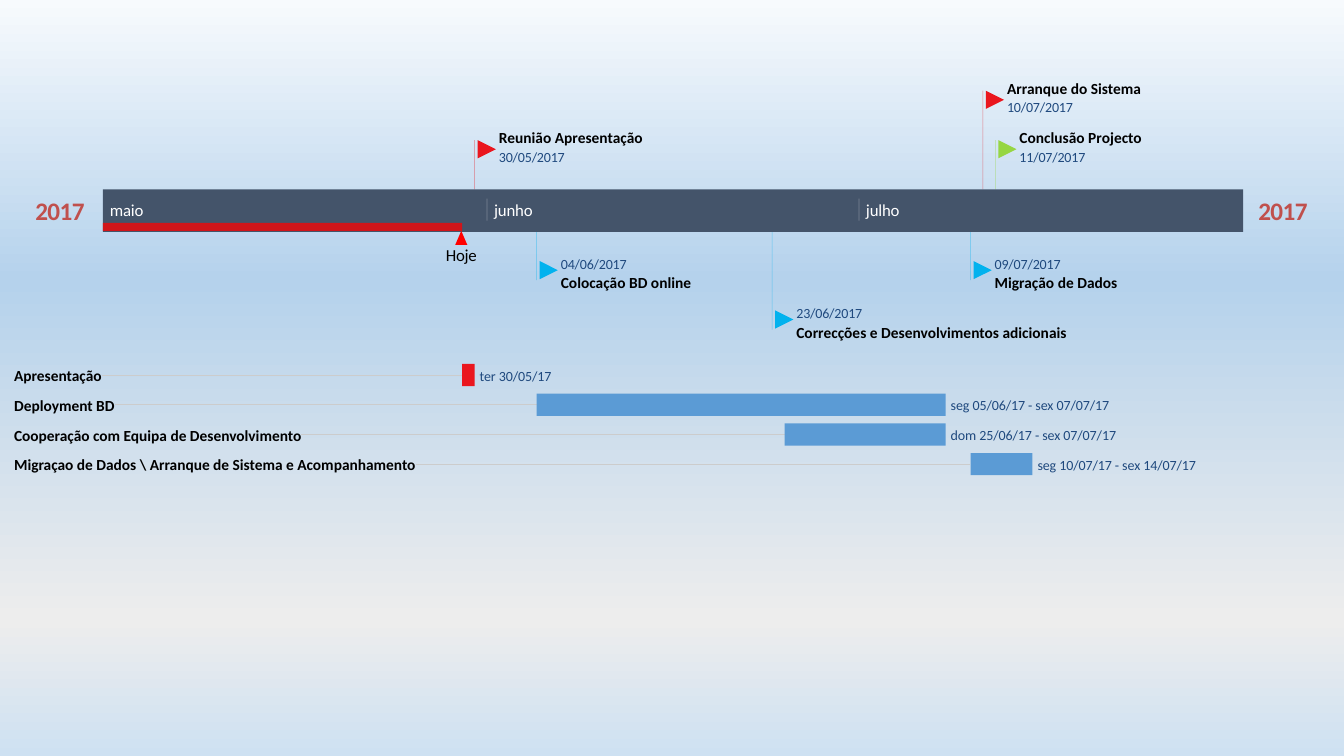
from pptx import Presentation
from pptx.dml.color import RGBColor
from pptx.enum.shapes import MSO_CONNECTOR, MSO_SHAPE
from pptx.enum.text import MSO_ANCHOR, PP_ALIGN
from pptx.oxml.ns import qn
from pptx.util import Inches, Pt
from lxml.etree import SubElement

HUES = {
    "band": "44546A", "red": "EA161E", "pure": "FF0000", "blue": "02B2EE",
    "green": "96D642", "task": "5B9BD5", "rule": "CCCCCC", "year": "C0504D",
    "date": "1F497E", "black": "000000", "white": "FFFFFF",
}
SKY = [(0, "F7FAFD"), (37, "B5D2EC"), (82, "EDEDED"), (100, "CEE1F2")]

# Time scale: one column per day from 1 May to 31 July
LEFT, WIDE, DAYS = 1.02, 11.31, 92
TOP, BASE = 1.88, 2.29
STEP = 0.49
MONTHS = {5: ("maio", 0), 6: ("junho", 31), 7: ("julho", 61)}

# Title, date, colour, level (above the band > 0, below < 0), title width
EVENTS = [
    ("Reunião Apresentação", "30/05/2017", "red", 1, 1.43),
    ("Arranque do Sistema", "10/07/2017", "red", 2, 1.33),
    ("Conclusão Projecto", "11/07/2017", "green", 1, 1.22),
    ("Colocação BD online", "04/06/2017", "blue", -1, 1.29),
    ("Correcções e Desenvolvimentos adicionais", "23/06/2017", "blue", -2, 2.68),
    ("Migração de Dados", "09/07/2017", "blue", -1, 1.22),
]
# Name, dates, colour, name width
TASKS = [
    ("Apresentação", "ter 30/05/17", "red", 0.87),
    ("Deployment BD", "seg 05/06/17 - sex 07/07/17", "task", 1.0),
    ("Cooperação com Equipa de Desenvolvimento",
     "dom 25/06/17 - sex 07/07/17", "task", 2.85),
    ("Migraçao de Dados \\ Arranque de Sistema e Acompanhamento",
     "seg 10/07/17 - sex 14/07/17", "task", 3.99),
]
EDGE, ROW, PITCH, THICK = 0.14, 3.61, 0.295, 0.22


def day_x(day):
    return LEFT + WIDE * day / DAYS


def count(date):
    """Days from 1 May to the start of a dd/mm/yy date."""
    day, month = date.split("/")[:2]
    return MONTHS[int(month)][1] + int(day) - 1


def span(label):
    """Left and right edge of the dates named in a label."""
    days = [count(word) for word in label.split() if "/" in word]
    return day_x(days[0]), day_x(days[-1] + 1)


def fade(fill, share):
    node = fill.find(".//" + qn("a:srgbClr"))
    SubElement(node, qn("a:alpha")).set("val", str(share * 1000))


def add_text(slide, text, x, y, w, h, size=11, color="black", bold=False,
             center=False, track=0):
    box = slide.shapes.add_textbox(Inches(x), Inches(y), Inches(w), Inches(h))
    frame = box.text_frame
    frame.margin_left = frame.margin_right = 0
    frame.margin_top = frame.margin_bottom = 0
    frame.vertical_anchor = MSO_ANCHOR.MIDDLE
    frame.word_wrap = not center
    para = frame.paragraphs[0]
    para.alignment = PP_ALIGN.CENTER if center else PP_ALIGN.LEFT
    run = para.add_run()
    run.text = text
    font = run.font
    font.name, font.size, font.bold = "Calibri", Pt(size), bold
    font.color.rgb = RGBColor.from_string(HUES[color])
    if track:
        run._r.get_or_add_rPr().set("spc", str(track))


def add_form(slide, kind, x, y, w, h, color, turn=0, share=100):
    form = slide.shapes.add_shape(kind, Inches(x), Inches(y), Inches(w), Inches(h))
    form.shadow.inherit = False
    form.fill.solid()
    form.fill.fore_color.rgb = RGBColor.from_string(HUES[color])
    form.line.fill.background()
    form.rotation = turn
    if share < 100:
        fade(form.element.spPr, share)


def add_line(slide, x1, y1, x2, y2, color, width=0.38, share=100):
    line = slide.shapes.add_connector(
        MSO_CONNECTOR.STRAIGHT, Inches(x1), Inches(y1), Inches(x2), Inches(y2))
    line.line.width = Pt(width)
    line.line.color.rgb = RGBColor.from_string(HUES[color])
    props = line._element.spPr
    if share < 100:
        fade(props, share)
    SubElement(props, qn("a:effectLst"))


def paint_sky(slide):
    fill = slide.background.fill
    fill.gradient()
    fill.gradient_angle = 270
    stops = slide.element.find(".//" + qn("a:gsLst"))
    for stop in list(stops):
        stops.remove(stop)
    for place, color in SKY:
        stop = SubElement(stops, qn("a:gs"), pos=str(place * 1000))
        SubElement(stop, qn("a:srgbClr"), val=color)


def add_pole(slide, date, color, level):
    x = span(date)[1]
    near = TOP if level > 0 else BASE
    add_line(slide, x, near, x, near - STEP * level, color, share=50)


def add_event(slide, title, date, color, level, width):
    x = span(date)[1]
    if level > 0:
        flag = TOP - STEP * level
        head, sub = flag - 0.12, flag + 0.08
    else:
        flag = BASE - STEP * level - 0.19
        head, sub = flag + 0.12, flag - 0.06
    add_text(slide, title, x + 0.24, head, width + 0.05, 0.19, bold=True)
    add_text(slide, date, x + 0.24, sub, 0.72, 0.17, size=10, color="date", track=-10)
    add_form(slide, MSO_SHAPE.FLOWCHART_MERGE, x + 0.03, flag, 0.18, 0.18, color, turn=270)


def add_band(slide):
    for x in (0.35, 12.48):
        add_text(slide, "2017", x, 1.93, 0.49, 0.31, size=18, color="year",
                 bold=True, center=True, track=-40)
    add_form(slide, MSO_SHAPE.RECTANGLE, LEFT, TOP, WIDE, 0.42, "band")
    # Time gone by and the marker for today
    now = day_x(count("30/05"))
    add_form(slide, MSO_SHAPE.RECTANGLE, LEFT, 2.21, now - LEFT, 0.08, "pure", share=75)
    add_form(slide, MSO_SHAPE.ISOSCELES_TRIANGLE, now - 0.07, BASE, 0.12, 0.14, "pure")
    add_text(slide, "Hoje", now - 0.17, 2.43, 0.32, 0.2, size=12, center=True, track=-20)
    # Months
    for name, first in MONTHS.values():
        x = day_x(first)
        if first:
            add_line(slide, x, 1.97, x, 2.19, "white", width=0.5, share=30)
        add_text(slide, name, x + 0.07, 1.98, 0.45, 0.2, size=12, color="white", track=-15)


def add_task(slide, y, name, label, color, width):
    start, end = span(label)
    add_form(slide, MSO_SHAPE.RECTANGLE, start, y, end - start, THICK, color)
    add_text(slide, label, end + 0.05, y + 0.03, 1.75, 0.17, size=10, color="date", track=-5)
    add_text(slide, name, EDGE, y + 0.02, width + 0.05, 0.19, bold=True, track=-3)


def main():
    deck = Presentation()
    deck.slide_width, deck.slide_height = Inches(13.33), Inches(7.5)
    slide = deck.slides.add_slide(deck.slide_layouts[6])
    paint_sky(slide)
    rows = [(ROW + PITCH * i, task) for i, task in enumerate(TASKS)]
    # Guide lines lie behind everything else
    for y, (_, label, _, width) in rows:
        mid = y + THICK / 2
        add_line(slide, EDGE + width, mid, span(label)[0], mid, "rule")
    for _, date, color, level, _ in EVENTS:
        add_pole(slide, date, color, level)
    add_band(slide)
    for event in EVENTS:
        add_event(slide, *event)
    for y, task in rows:
        add_task(slide, y, *task)
    deck.save("out.pptx")


main()
